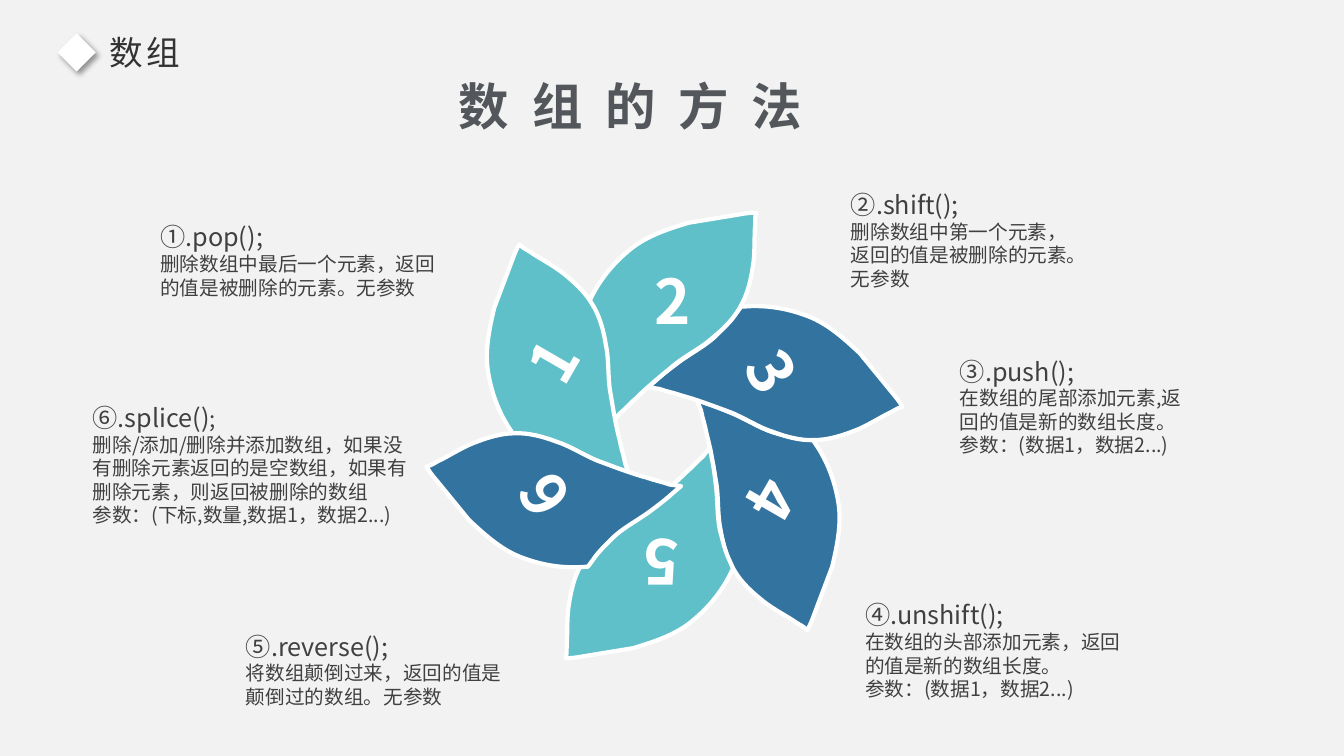
from copy import deepcopy
from lxml import etree
from pptx import Presentation
from pptx.dml.color import RGBColor as RGB
from pptx.enum.shapes import MSO_SHAPE as SHAPE
from pptx.enum.text import MSO_ANCHOR as ANCHOR, MSO_AUTO_SIZE as AUTO, PP_ALIGN as ALIGN
from pptx.oxml.ns import qn
from pptx.util import Inches, Pt

COLORS = {"bg": "F2F2F2", "teal": "5FC0C9", "blue": "33739F", "white": "FFFFFF",
          "text": "404040", "header": "333333", "title": "53575C", "fade": "C5C7CA"}
FONT = "Noto Sans CJK SC"

PETAL_START = (7.5, 2.11)
PETAL_PATH = [
    (7.49, 2.15, 7.49, 2.15, 7.49, 2.24), (7.48, 2.32, 7.49, 2.5, 7.47, 2.63),
    (7.45, 2.76, 7.42, 2.91, 7.35, 3.03), (7.29, 3.15, 7.18, 3.26, 7.07, 3.35),
    (6.96, 3.45, 6.83, 3.51, 6.7, 3.61), (6.58, 3.71, 6.43, 3.83, 6.31, 3.95),
    (6.25, 4, 6.2, 4.06, 6.14, 4.11), (6.07, 4.2), (6.05, 4.09),
    (6.03, 4, 6.02, 3.91, 6.01, 3.83), (5.99, 3.67, 6, 3.52, 5.97, 3.38),
    (5.94, 3.27, 5.92, 3.17, 5.87, 3.07), (5.84, 3), (5.88, 2.92),
    (5.97, 2.75, 6.09, 2.61, 6.22, 2.5), (6.39, 2.35, 6.6, 2.28, 6.83, 2.21),
    (7.32, 2.13), (7.43, 2.11, 7.46, 2.11, 7.5, 2.11)]
PETAL_TAIL = [(5.61, 4.98), (5.61, 4.82), (5.66, 4.86)]

PETALS = [("4", 6.29, 3.28, 120, "blue", True), ("5", 5.61, 3.66, 180, "teal", True),
          ("3", 6.29, 2.5, 60, "blue", True), ("2", 5.84, 2.11, 0, "teal", False),
          ("1", 4.81, 2.62, 300, "teal", False), ("6", 4.72, 3.78, 240, "blue", False)]

CALLOUTS = [
    ((8.4, 5.86, 2.91, 1.19), [[("④.unshift();", 18), "\n",
     ("在数组的头部添加元素，返回的值是新的数组长度。", 14), "\n", ("参数：(数据1，数据2...)", 14)]]),
    ((2.26, 6.17, 3.01, 0.95), [[("⑤.reverse();", 18), "\n",
     ("将数组颠倒过来，返回的值是颠倒过的数组。无参数", 14)]]),
    ((9.34, 3.44, 2.56, 1.19), [[("③.push();", 18), "\n",
     ("在数组的尾部添加元素,返回的值是新的数组长度。", 14), "\n", ("参数：(数据1，数据2...)", 14)]]),
    ((8.26, 1.79, 2.69, 1.19), [[("②.shift();", 18), "\n",
     ("删除数组中第一个元素，返回的值是被删除的元素。无参数", 14)]]),
    ((1.41, 2.11, 3.12, 0.95), [[("①.pop();", 18), "\n",
     ("删除数组中最后一个元素，返回的值是被删除的元素。无参数", 14)]]),
    ((0.74, 3.9, 3.54, 1.42), [[("⑥.splice()", 18), (";", 16), "\n",
     ("删除/添加/删除并添加数组，如果没有删除元素返回的是空数组，如果有删除元素，则返回被删除的数组", 14)],
     [("参数：(下标,数量,数据1，数据2...)", 14)]])]


def rgb(name):
    """Return the named colour."""
    return RGB.from_string(COLORS[name])


def set_attrs(obj, **values):
    """Set several attributes on an object."""
    for key, value in values.items():
        setattr(obj, key, value)


def add_run(p, text, size, color, bold=False, font=FONT, spacing=0):
    """Add a formatted run to a paragraph."""
    r = p.add_run()
    r.text = text
    set_attrs(r.font, name=font, size=Pt(size), bold=bold)
    r.font.color.rgb = rgb(color)
    rPr = r.font._element
    etree.SubElement(rPr, qn("a:ea")).set("typeface", FONT)
    if spacing:
        rPr.set("spc", str(round(spacing * 100)))
    return r


def add_break(p):
    """Add a line break formatted like the run before it."""
    rPr = p.runs[-1].font._element
    p.add_line_break()
    p._p[-1].append(deepcopy(rPr))


def set_margins(tf, left, top, right, bottom):
    """Set the text insets in inches."""
    set_attrs(tf, margin_left=Inches(left), margin_top=Inches(top),
              margin_right=Inches(right), margin_bottom=Inches(bottom))


def add_text_box(s, box):
    """Add a wrapping text box and return its frame."""
    tf = s.shapes.add_textbox(*map(Inches, box)).text_frame
    set_attrs(tf, word_wrap=True, auto_size=AUTO.NONE)
    return tf


def to_emu(points):
    """Convert points in inches to lengths."""
    return [(Inches(x), Inches(y)) for x, y in points]


def bend_outline(sp):
    """Join each three lines of a curved segment into one Bezier curve."""
    lines = iter(list(sp._element.iter(qn("a:lnTo"))))
    for seg in PETAL_PATH:
        line = next(lines)
        if len(seg) == 6:
            line.addprevious(curve := etree.Element(qn("a:cubicBezTo")))
            for part in (line, next(lines), next(lines)):
                curve.append(part[0])
                part.getparent().remove(part)


def add_petal(s, number, left, top, angle, color, tail):
    """Add one numbered petal of the wheel."""
    fb = s.shapes.build_freeform(*map(Inches, PETAL_START))
    fb.add_line_segments(to_emu(
        seg[i:i + 2] for seg in PETAL_PATH for i in range(0, len(seg), 2)))
    if tail:
        first, *rest = to_emu(PETAL_TAIL)
        fb.move_to(*first)
        fb.add_line_segments(rest)
    sp = fb.convert_to_shape()
    bend_outline(sp)
    set_attrs(sp, left=Inches(left), top=Inches(top), rotation=angle)
    sp.shadow.inherit = False
    sp.fill.solid()
    sp.fill.fore_color.rgb = rgb(color)
    sp.line.color.rgb = rgb("white")
    sp.line.width = Pt(3)
    tf = sp.text_frame
    set_attrs(tf, word_wrap=True, vertical_anchor=ANCHOR.MIDDLE)
    set_margins(tf, 0.13, 0, 0.13, 1 if tail else 0.37)
    p = tf.paragraphs[0]
    p.alignment = ALIGN.CENTER
    add_run(p, number, 44, "white", True)


def add_callout(s, box, paragraphs):
    """Add a method name with its description."""
    tf = add_text_box(s, box)
    set_margins(tf, 0.18, 0.09, 0.18, 0.09)
    for i, parts in enumerate(paragraphs):
        p = tf.add_paragraph() if i else tf.paragraphs[0]
        for part in parts:
            if part == "\n":
                add_break(p)
            else:
                add_run(p, *part, "text")


def add_header(s, left, top):
    """Add the section name with its diamond marker."""
    sp = s.shapes.add_shape(SHAPE.DIAMOND, *map(Inches, (left, top + 0.06, 0.38, 0.38)))
    sp.fill.solid()
    sp.fill.fore_color.rgb = rgb("white")
    sp.line.fill.background()
    sp.shadow.inherit = False
    effects = sp._element.spPr.find(qn("a:effectLst"))
    shadow = etree.SubElement(effects, qn("a:outerShdw"), blurRad=str(Pt(4)),
                              dist=str(Pt(3)), dir="2700000", algn="tl", rotWithShape="0")
    color = etree.SubElement(shadow, qn("a:srgbClr"), val="000000")
    etree.SubElement(color, qn("a:alpha"), val="40000")
    tf = add_text_box(s, (left + 0.42, top, 5.18, 0.5))
    add_run(tf.paragraphs[0], "数组", 24, "header", spacing=2.5)


def add_title(s, box):
    """Fill the title placeholder with widely spaced text."""
    sp = s.shapes.title
    for key, value in zip(("left", "top", "width", "height"), box):
        setattr(sp, key, Inches(value))
    tf = sp.text_frame
    set_attrs(tf, word_wrap=True, auto_size=AUTO.NONE, vertical_anchor=ANCHOR.TOP)
    p = tf.paragraphs[0]
    p.alignment = ALIGN.LEFT
    r = add_run(p, "数 组 的 方 法", 36, "title", True, "Calibri", 4.1)
    fill = r.font.fill
    fill.gradient()
    fill.gradient_angle = 270
    for stop, pos, color in zip(fill.gradient_stops, (0.21, 0.88), ("title", "fade")):
        stop.position = pos
        stop.color.rgb = rgb(color)


def main():
    """Build the slide and save it."""
    prs = Presentation()
    set_attrs(prs, slide_width=Inches(13.33), slide_height=Inches(7.5))
    s = prs.slides.add_slide(prs.slide_layouts[5])
    s.background.fill.solid()
    s.background.fill.fore_color.rgb = rgb("bg")
    for petal in PETALS:
        add_petal(s, *petal)
    for callout in CALLOUTS:
        add_callout(s, *callout)
    add_header(s, 0.57, 0.27)
    add_title(s, (4.45, 0.69, 3.95, 0.71))
    prs.save("out.pptx")


if __name__ == "__main__":
    main()
